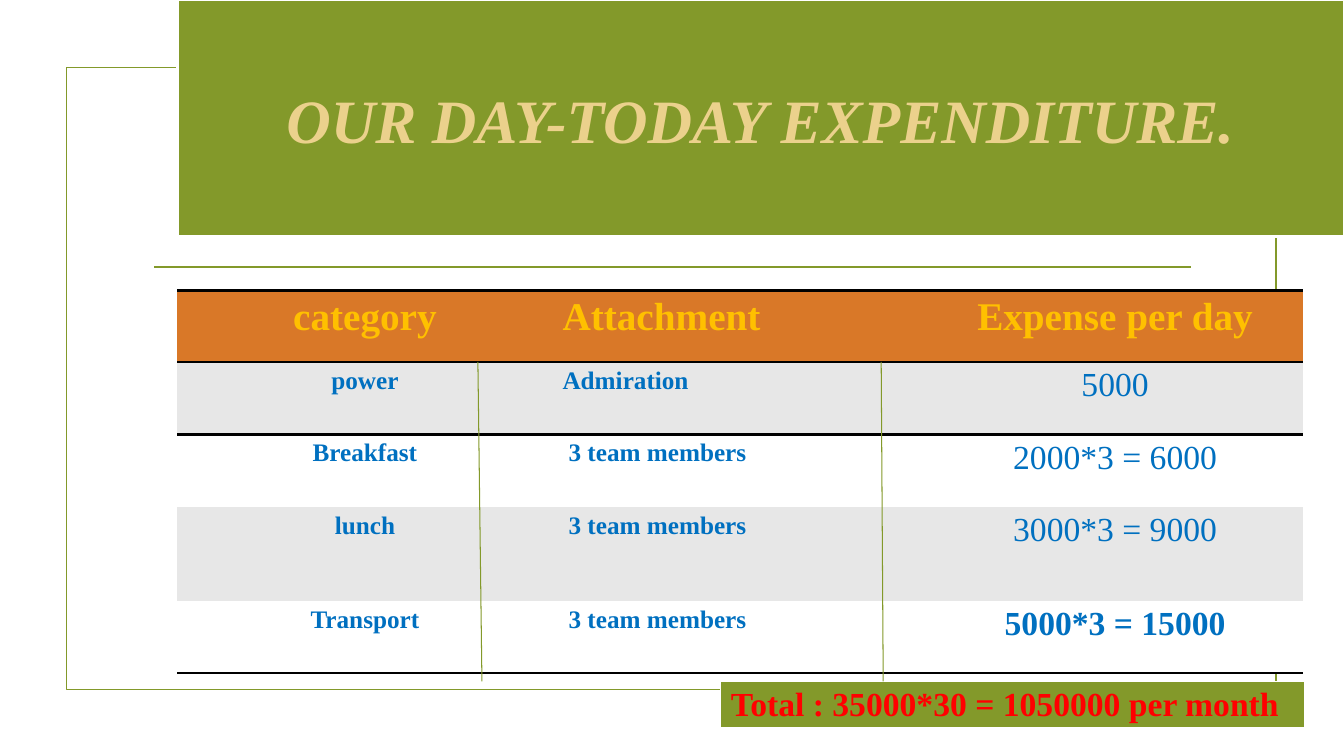
"""Build the day-to-day expenditure slide."""
from lxml.etree import SubElement
from pptx import Presentation
from pptx.dml.color import RGBColor
from pptx.enum.shapes import MSO_CONNECTOR, MSO_SHAPE
from pptx.enum.text import MSO_ANCHOR, PP_ALIGN
from pptx.oxml.ns import qn
from pptx.util import Inches, Pt

TITLE = "OUR DAY-TODAY EXPENDITURE."
HEADINGS = ["category", "Attachment", "Expense per day"]
EXPENSES = [
    ("power", "Admiration", "5000"),
    ("Breakfast", "3 team members", "2000*3 = 6000"),
    ("lunch", "3 team members", "3000*3 = 9000"),
    ("Transport", "3 team members", "5000*3 = 15000"),
]
TOTAL = "Total : 35000*30 = 1050000 per month"

COLORS = {
    "olive": "83992A", "sand": "EBD18C", "orange": "D97828", "gold": "FFC000",
    "blue": "0070C0", "red": "FF0000", "band": "E7E7E7", "white": "FFFFFF", "black": "000000",
}
FORMATS = {
    "title": {"size": Pt(44), "bold": True, "italic": True, "color": "sand"},
    "heading": {"size": Pt(28), "bold": True, "color": "gold"},
    "label": {"size": Pt(18), "bold": True, "color": "blue"},
    "amount": {"size": Pt(24), "bold": False, "color": "blue"},
    "last amount": {"size": Pt(24), "bold": True, "color": "blue"},
    "total": {"size": Pt(24), "bold": True, "color": "red"},
}
FONT = "Times New Roman"
PLAIN_TABLE = "{2D5ABB26-0587-4C30-8999-92F81FD0307C}"
WIDTH, HEIGHT = 13.33, 7.5
LEFT, TOP, COLUMN = 1.76, 2.88, 3.72
ROWS = [0.71, 0.72, 0.72, 0.93, 0.72]
TOTAL_TOP = 6.76
MEMBER_INSET = 0.16
ALIGNMENTS = [PP_ALIGN.CENTER, PP_ALIGN.LEFT, PP_ALIGN.CENTER]
DIVIDERS = [(4.74, 4.78), (8.74, 8.76)]


def rgb(color):
    return RGBColor.from_string(COLORS[color])


def write(frame, text, style, alignment):
    frame.text = text
    paragraph = frame.paragraphs[0]
    paragraph.alignment = alignment
    font = paragraph.runs[0].font
    font.name = FONT
    for name, value in FORMATS[style].items():
        if name == "color":
            font.color.rgb = rgb(value)
        else:
            setattr(font, name, value)


def add_rule(slide, start, end, width):
    rule = slide.shapes.add_connector(MSO_CONNECTOR.STRAIGHT, *map(Inches, start + end))
    rule.line.color.rgb = rgb("olive")
    rule.line.width = Pt(width)
    SubElement(rule.element.spPr, qn("a:effectLst"))


def add_grid(slide, left, top, columns, rows):
    graphic = slide.shapes.add_table(
        len(rows), len(columns), *map(Inches, (left, top, sum(columns), sum(rows))))
    table = graphic.table
    table.first_row = table.horz_banding = False
    table._tbl.tblPr.find(qn("a:tableStyleId")).text = PLAIN_TABLE
    for parts, name, lengths in ((table.columns, "width", columns), (table.rows, "height", rows)):
        for part, length in zip(parts, lengths):
            setattr(part, name, Inches(length))
    return table


def fill_cell(cell, text, style, alignment, fill, borders):
    properties = cell._tc.get_or_add_tcPr()
    for side in "LRTB":
        if side in borders:
            color, width = borders[side]
            line = SubElement(properties, qn(f"a:ln{side}"), w=str(Pt(width)))
            SubElement(SubElement(line, qn("a:solidFill")), qn("a:srgbClr"), val=COLORS[color])
    cell.fill.solid()
    cell.fill.fore_color.rgb = rgb(fill)
    write(cell.text_frame, text, style, alignment)


def add_heading(slide):
    frame = slide.shapes.add_shape(MSO_SHAPE.RECTANGLE, *map(Inches, (0.66, 0.67, 12, 6.17)))
    frame.shadow.inherit = False
    frame.fill.background()
    frame.line.color.rgb = rgb("olive")
    frame.line.width = Pt(1.25)
    add_rule(slide, (1.53, 2.65), (11.81, 2.65), 1.25)

    title = slide.shapes.title
    title.element.getparent().append(title.element)
    title.left, title.top, title.width, title.height = map(
        Inches, (LEFT, 0, WIDTH - LEFT, 2.35))
    title.fill.solid()
    title.fill.fore_color.rgb = rgb("olive")
    title.line.color.rgb = rgb("white")
    title.line.width = Pt(2)
    title.text_frame.vertical_anchor = MSO_ANCHOR.MIDDLE
    write(title.text_frame, TITLE, "title", PP_ALIGN.CENTER)


def add_expenses(slide):
    table = add_grid(slide, LEFT, TOP, [COLUMN] * len(HEADINGS), ROWS)
    last = len(EXPENSES)
    for row, texts in enumerate([HEADINGS] + EXPENSES):
        borders = {}
        if row == 0:
            borders["T"] = ("black", 2)
        if row in (0, last):
            borders["B"] = ("black", 2)
        if row == 1:
            borders["T"] = ("black", 2)
        fill = "orange" if row == 0 else "band" if row % 2 else "white"
        for column, text in enumerate(texts):
            style = "heading" if row == 0 else "label"
            if row and column == 2:
                style = "last amount" if row == last else "amount"
            cell = table.cell(row, column)
            fill_cell(cell, text, style, ALIGNMENTS[column], fill, borders)
            if row > 1 and column == 1:
                cell.margin_left = Inches(MEMBER_INSET)


def add_total(slide):
    table = add_grid(slide, 7.15, TOTAL_TOP, [5.79], [0.45])
    borders = {"L": ("white", 1), "R": ("white", 1), "T": ("white", 1), "B": ("white", 3)}
    fill_cell(table.cell(0, 0), TOTAL, "total", PP_ALIGN.LEFT, "olive", borders)


def main():
    presentation = Presentation()
    presentation.slide_width, presentation.slide_height = Inches(WIDTH), Inches(HEIGHT)
    slide = presentation.slides.add_slide(presentation.slide_layouts[5])
    add_heading(slide)
    add_expenses(slide)
    add_total(slide)
    for upper, lower in DIVIDERS:
        add_rule(slide, (upper, TOP + ROWS[0]), (lower, TOTAL_TOP), 0.75)
    presentation.save("out.pptx")


if __name__ == "__main__":
    main()
